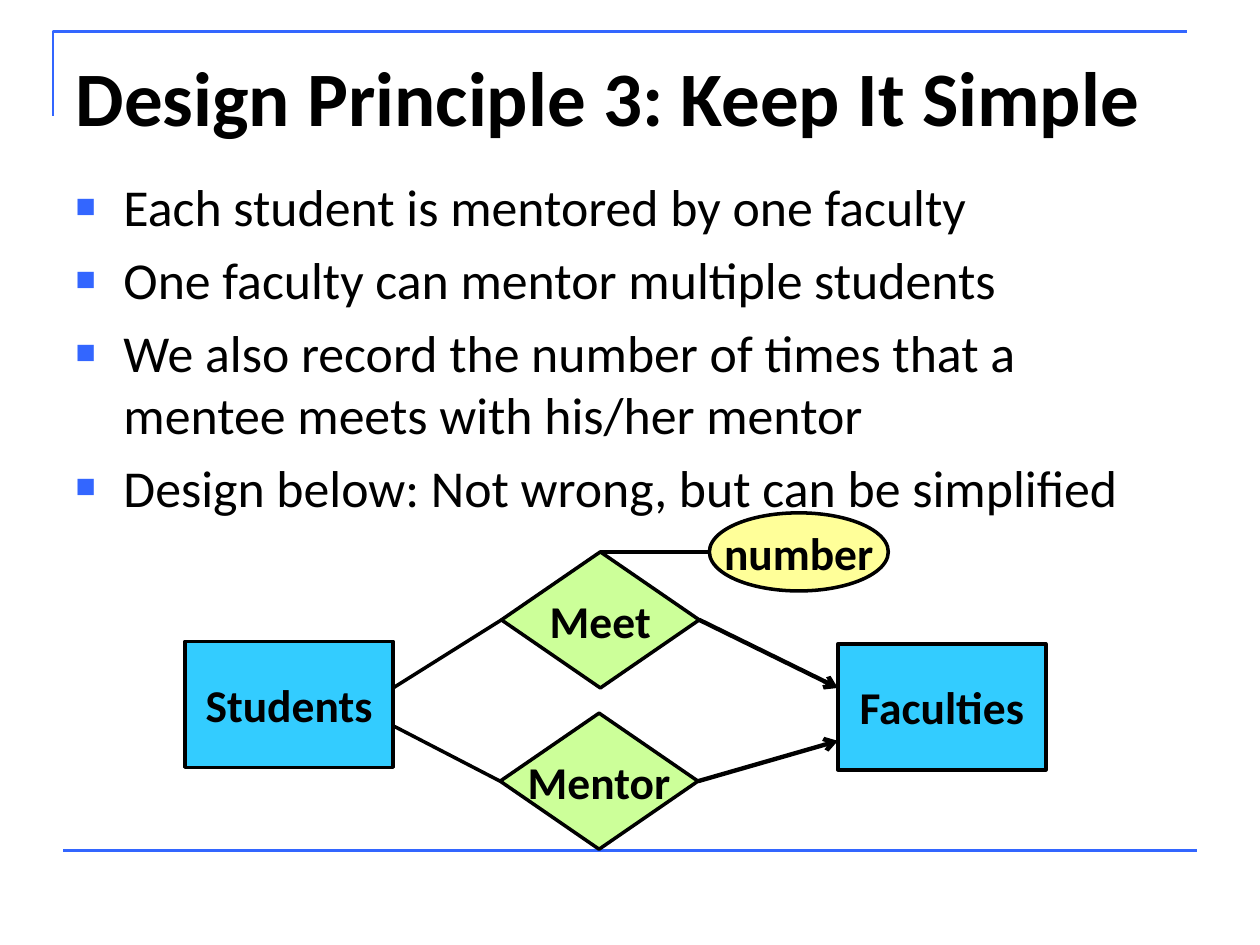
from lxml import etree
from pptx import Presentation
from pptx.dml.color import RGBColor
from pptx.enum.shapes import MSO_CONNECTOR, MSO_SHAPE
from pptx.enum.text import MSO_ANCHOR, MSO_AUTO_SIZE, PP_ALIGN
from pptx.oxml.ns import qn
from pptx.util import Inches, Pt

STRAIGHT = MSO_CONNECTOR.STRAIGHT
RECTANGLE, DIAMOND, OVAL = MSO_SHAPE.RECTANGLE, MSO_SHAPE.DIAMOND, MSO_SHAPE.OVAL
TOP, MIDDLE = MSO_ANCHOR.TOP, MSO_ANCHOR.MIDDLE
LEFT, CENTER = PP_ALIGN.LEFT, PP_ALIGN.CENTER
SIDE_TOP, SIDE_LEFT, SIDE_RIGHT = 0, 1, 3

THEME = {
    "font": "Calibri",
    "ink": RGBColor.from_string("000000"),
    "accent": RGBColor.from_string("3366FF"),
    "entity": RGBColor.from_string("33CCFF"),
    "relationship": RGBColor.from_string("CCFF99"),
    "attribute": RGBColor.from_string("FFFF99"),
    "title_size": Pt(44),
    "body_size": Pt(29.6),
    "label_size": Pt(26),
}


def write_text(frame, lines, size, bold=False, align=LEFT, anchor=TOP,
               wrap=True, bullet=None, gap=0, margin_top=0.05):
    frame.auto_size = MSO_AUTO_SIZE.NONE
    frame.word_wrap = wrap
    frame.vertical_anchor = anchor
    frame.margin_left = frame.margin_right = Inches(0.1)
    frame.margin_top, frame.margin_bottom = Inches(margin_top), Inches(0.05)
    for index, line in enumerate(lines):
        paragraph = frame.paragraphs[0] if index == 0 else frame.add_paragraph()
        paragraph.text = line
        paragraph.alignment = align
        paragraph.line_spacing = 1.0
        paragraph.space_before = Pt(gap if index else 0)
        paragraph.space_after = Pt(0)
        if bullet:
            properties = paragraph._p.get_or_add_pPr()
            properties.set("marL", str(Inches(0.38)))
            properties.set("indent", str(-Inches(0.38)))
            color = etree.SubElement(properties, qn("a:buClr"))
            etree.SubElement(color, qn("a:srgbClr"), val=str(THEME["accent"]))
            etree.SubElement(properties, qn("a:buSzPct"), val="65000")
            etree.SubElement(properties, qn("a:buFont"), typeface="Arial")
            etree.SubElement(properties, qn("a:buChar"), char=bullet)
        font = paragraph.font
        font.name, font.size, font.bold = THEME["font"], size, bold
        font.color.rgb = THEME["ink"]


def add_line(start, end, color, width, arrow=False):
    line = slide.shapes.add_connector(STRAIGHT, *map(Inches, start + end))
    line.line.color.rgb = color
    line.line.width = Pt(width)
    if arrow:
        etree.SubElement(line.line._get_or_add_ln(), qn("a:tailEnd"), type="arrow")
    etree.SubElement(line._element.spPr, qn("a:effectLst"))
    return line


prs = Presentation()
prs.slide_width, prs.slide_height = Inches(10), Inches(7.5)
slide = prs.slides.add_slide(prs.slide_layouts[1])

# Frame: corner at the top left and rule at the bottom
builder = slide.shapes.build_freeform(Inches(0.42), Inches(0.92))
builder.add_line_segments(
    [(Inches(0.42), Inches(0.25)), (Inches(9.42), Inches(0.25))], close=False)
corner = builder.convert_to_shape()
corner.shadow.inherit = False
corner.fill.background()
corner.line.color.rgb = THEME["accent"]
corner.line.width = Pt(1.5)
add_line((0.5, 6.75), (9.5, 6.75), THEME["accent"], 1.5)

# Title and bullet list
title, body = slide.shapes.title, slide.placeholders[1]
title.left, title.top, title.width, title.height = map(Inches, (0.5, 0.3, 9, 1.25))
write_text(title.text_frame, ["Design Principle 3: Keep It Simple"],
           THEME["title_size"], bold=True, margin_top=0.09)
body.left, body.top, body.width, body.height = map(Inches, (0.5, 1.31, 9, 2.52))
write_text(body.text_frame, [
    "Each student is mentored by one faculty",
    "One faculty can mentor multiple students",
    "We also record the number of times that a mentee meets with his/her mentor",
    "Design below: Not wrong, but can be simplified",
], THEME["body_size"], bullet="■", gap=6, margin_top=0.08)

# Entities, relationships and attribute
nodes = {}
for label, kind, role, box in [
    ("Faculties", RECTANGLE, "entity", (6.65, 5.11, 1.65, 1)),
    ("Students", RECTANGLE, "entity", (1.47, 5.09, 1.65, 1)),
    ("Mentor", DIAMOND, "relationship", (3.97, 5.66, 1.57, 1.08)),
    ("Meet", DIAMOND, "relationship", (3.98, 4.38, 1.57, 1.08)),
    ("number", OVAL, "attribute", (5.63, 4.07, 1.42, 0.62)),
]:
    node = slide.shapes.add_shape(kind, *map(Inches, box))
    node.shadow.inherit = False
    node.fill.solid()
    node.fill.fore_color.rgb = THEME[role]
    node.line.color.rgb = THEME["ink"]
    node.line.width = Pt(2)
    write_text(node.text_frame, [label], THEME["label_size"], bold=True,
               align=CENTER, anchor=MIDDLE, wrap=False)
    nodes[label] = node

# Links from each relationship to both entities and the attribute
for relationship, side, start, end, width, arrow in [
    ("Mentor", SIDE_RIGHT, (5.54, 6.2), (6.65, 5.88), 2.5, True),
    ("Mentor", SIDE_LEFT, (3.97, 6.2), (3.12, 5.76), 2, False),
    ("Meet", SIDE_RIGHT, (5.55, 4.92), (6.65, 5.46), 2.5, True),
    ("Meet", SIDE_LEFT, (3.98, 4.92), (3.12, 5.46), 2, False),
    ("Meet", SIDE_TOP, (4.76, 4.38), (5.63, 4.38), 2, False),
]:
    link = add_line(start, end, THEME["ink"], width, arrow)
    link.begin_connect(nodes[relationship], side)

prs.save("out.pptx")
